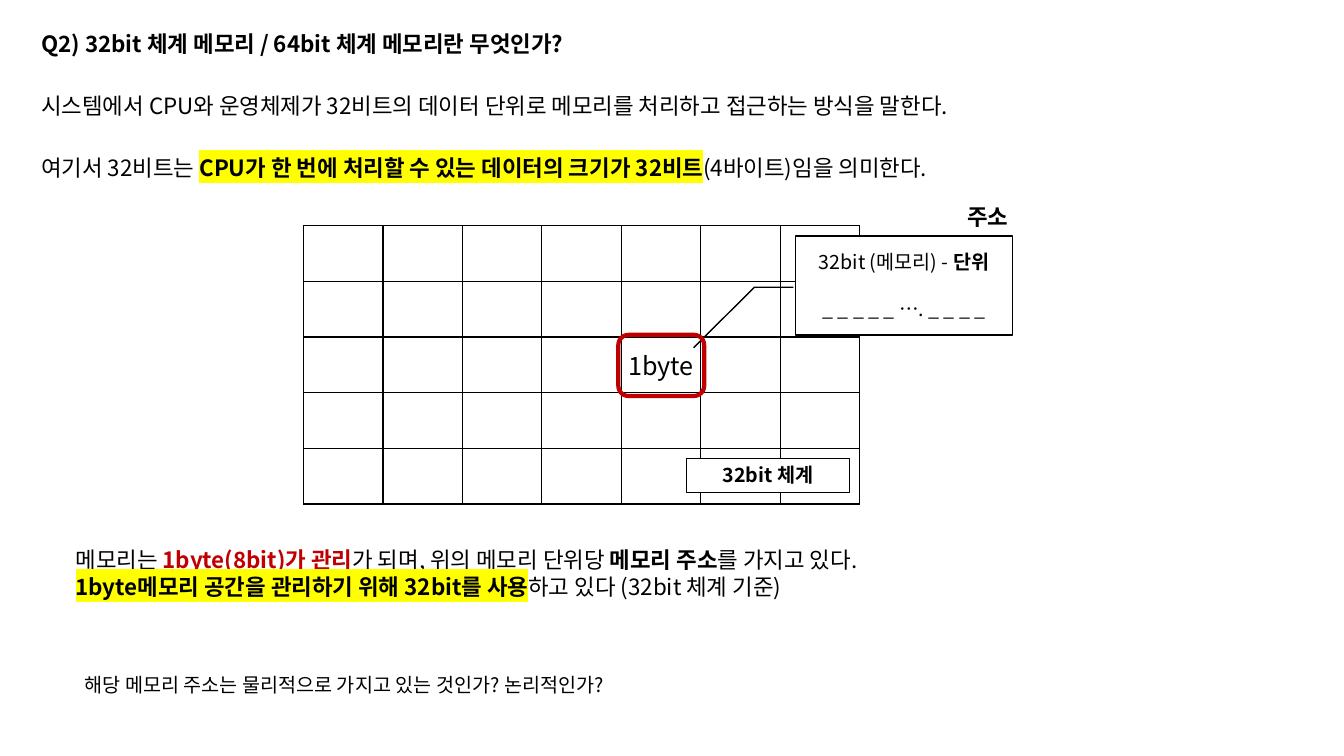
from lxml.etree import SubElement
from pptx import Presentation
from pptx.dml.color import RGBColor
from pptx.enum.shapes import MSO_SHAPE as Preset
from pptx.enum.text import MSO_ANCHOR as Anchor, MSO_AUTO_SIZE as AutoSize, PP_ALIGN as Align
from pptx.oxml.ns import qn
from pptx.util import Inches, Pt

FONT = "Noto Sans CJK KR"
COLORS = {"ink": "000000", "paper": "FFFFFF", "red": "C00000", "marker": "FFFF00"}

# Content: each paragraph is a list of (text, style) runs
TITLE = [[("Q2) 32bit 체계 메모리 / 64bit 체계 메모리란 무엇인가?", "bold")]]
DEFINITION = [[("시스템에서 CPU와 운영체제가 32비트의 데이터 단위로 메모리를 처리하고 접근하는 방식을 말한다.", "plain")]]
MEANING = [[("여기서 32비트는 ", "plain"),
            ("CPU가 한 번에 처리할 수 있는 데이터의 크기가 32비트", "marked"),
            ("(4바이트)임을 의미한다.", "plain")]]
MANAGEMENT = [
    [("메모리는 ", "plain"), ("1byte(8bit)가 관리", "red"),
     ("가 되며, 위의 메모리 단위당 ", "plain"), ("메모리 주소", "bold"),
     ("를 가지고 있다.", "plain")],
    [("1byte메모리 공간을 관리하기 위해 32bit를 사용", "marked"),
     ("하고 있다 (32bit 체계 기준)", "plain")],
]
QUESTION = [[("해당 메모리 주소는 물리적으로 가지고 있는 것인가? 논리적인가?", "plain")]]
ADDRESS_UNIT = [[("32bit (메모리) - ", "plain"), ("단위", "bold")],
                [("_ _ _ _ _ …. _ _ _ _", "plain")]]
BYTE = [[("1byte", "plain")]]
SYSTEM = [[("32bit 체계", "bold")]]
ADDRESS = [[("주소", "bold")]]

# Left, top, width, height in percent of the slide
TITLE_AREA = (2.33, 3.33, 43.66, 4.93)
MEMORY_AREA = (22.58, 29.87, 41.41, 36.8)
STATEMENTS = [
    (DEFINITION, (2.33, 11.47, 87.4, 4.93), 16),
    (MEANING, (2.33, 19.73, 85.6, 4.93), 16),
    (MANAGEMENT, (4.88, 71.6, 76.9, 8.53), 16),
    (QUESTION, (5.55, 88.4, 62.57, 4.53), 14),
]

# Left, top, width, height in memory cells, from the corner of the memory grid
COLUMNS, ROWS = 7, 5
SYSTEM_CELLS = (4.82, 4.18, 2.05, 0.62)
BYTE_CELLS = (3.96, 2.14, 1.23, 0.72)
UNIT_CELLS = (6.19, 0.18, 2.73, 1.78)
FRAME_CELLS = (3.96, 1.96, 1.08, 1.1)
ADDRESS_CELLS = (8.06, -0.49, 1.09, 0.67)
UNIT_LEADER = (0.52, -0.01, 0.52, -0.19, 1.13, -0.47)

deck = Presentation()
deck.slide_width, deck.slide_height = Inches(13.33), Inches(7.5)
slide = deck.slides.add_slide(deck.slide_layouts[5])


def on_slide(area):
    sides = (deck.slide_width, deck.slide_height) * 2
    return [int(side * share / 100) for side, share in zip(sides, area)]


memory_left, memory_top, memory_width, memory_height = on_slide(MEMORY_AREA)
cell_width, cell_height = memory_width // COLUMNS, memory_height // ROWS


def on_memory(cells):
    left, top, width, height = cells
    return [int(memory_left + left * cell_width), int(memory_top + top * cell_height),
            int(width * cell_width), int(height * cell_height)]


def rgb(name):
    return RGBColor.from_string(COLORS[name])


def color_xml(parent, tag, name):
    SubElement(SubElement(parent, qn(tag)), qn("a:srgbClr")).set("val", COLORS[name])


def style_run(run, style, size):
    font = run.font
    font.size, font.bold = Pt(size), style != "plain"
    font.color.rgb = rgb("red" if style == "red" else "ink")
    properties = run._r.get_or_add_rPr()
    if style == "marked":
        color_xml(properties, "a:highlight", "marker")
    font.name = FONT
    SubElement(properties, qn("a:ea")).set("typeface", FONT)


def write(holder, paragraphs, size, align=Align.LEFT, anchor=Anchor.TOP, gap=0):
    frame = holder.text_frame
    frame.word_wrap, frame.auto_size = True, AutoSize.NONE
    frame.vertical_anchor = anchor
    for index, runs in enumerate(paragraphs):
        paragraph = frame.add_paragraph() if index else frame.paragraphs[0]
        paragraph.alignment = align
        paragraph.space_before = Pt(gap if index else 0)
        for text, style in runs:
            run = paragraph.add_run()
            run.text = text
            style_run(run, style, size)


def add_text(paragraphs, box, size, align=Align.LEFT):
    write(slide.shapes.add_textbox(*box), paragraphs, size, align)


def add_outlined(preset, cells, line, width, filled=True):
    shape = slide.shapes.add_shape(preset, *on_memory(cells))
    shape.shadow.inherit = False
    if filled:
        shape.fill.solid()
        shape.fill.fore_color.rgb = rgb("paper")
    else:
        shape.fill.background()
    shape.line.color.rgb, shape.line.width = rgb(line), Pt(width)
    return shape


# Title and statements
title = slide.shapes.title
title.left, title.top, title.width, title.height = on_slide(TITLE_AREA)
write(title, TITLE, 16)
for paragraphs, area, size in STATEMENTS:
    add_text(paragraphs, on_slide(area), size)

# Memory grid
memory = slide.shapes.add_table(ROWS, COLUMNS, *on_slide(MEMORY_AREA)).table
memory.first_row = memory.horz_banding = False
for column in memory.columns:
    column.width = cell_width
for row in memory.rows:
    row.height = cell_height
for cell in memory.iter_cells():
    properties = cell._tc.get_or_add_tcPr()
    for side in ("a:lnL", "a:lnR", "a:lnT", "a:lnB"):
        border = SubElement(properties, qn(side), w=str(Pt(1)))
        color_xml(border, "a:solidFill", "ink")
    cell.fill.background()

# Labels over the grid
system = add_outlined(Preset.RECTANGLE, SYSTEM_CELLS, "ink", 0.75)
write(system, SYSTEM, 14, Align.CENTER)
add_text(BYTE, on_memory(BYTE_CELLS), 18)

# Address callout and the byte it points to
address_unit = add_outlined(Preset.LINE_CALLOUT_2, UNIT_CELLS, "ink", 1)
for index, value in enumerate(UNIT_LEADER):
    address_unit.adjustments[index] = value
write(address_unit, ADDRESS_UNIT, 14, Align.CENTER, Anchor.MIDDLE, gap=17)
add_outlined(Preset.ROUNDED_RECTANGLE, FRAME_CELLS, "red", 3, filled=False)
add_text(ADDRESS, on_memory(ADDRESS_CELLS), 16, Align.CENTER)

deck.save("out.pptx")
